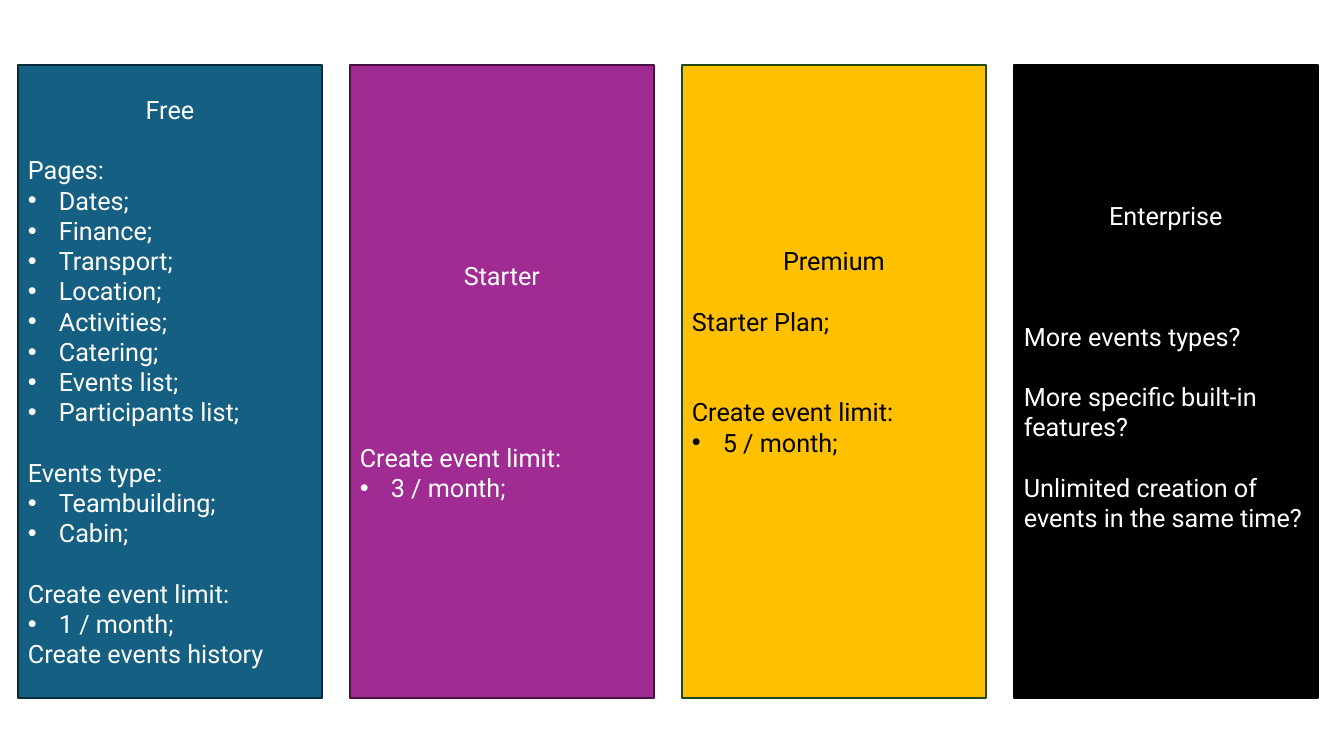
from dataclasses import dataclass

from lxml import etree
from pptx import Presentation
from pptx import util as u
from pptx.dml.color import RGBColor
from pptx.enum import shapes, text
from pptx.oxml import ns

PX_PER_INCH = 100.8
SLIDE_W, SLIDE_H = 1344, 756
CARD_LEFT, CARD_TOP, CARD_W, CARD_H = 18, 65, 304, 633
CARD_PITCH = 332
INSET = 5
BULLET_INDENT = 31
LINE_H = u.Pt(21.6)

WHITE = RGBColor(0xFF, 0xFF, 0xFF)
BLACK = RGBColor(0x00, 0x00, 0x00)
TEAL = RGBColor(0x15, 0x60, 0x82)
DARK_TEAL = RGBColor(0x09, 0x2A, 0x39)
PURPLE = RGBColor(0xA0, 0x2B, 0x93)
DARK_PURPLE = RGBColor(0x46, 0x13, 0x40)
AMBER = RGBColor(0xFF, 0xC0, 0x00)
DARK_GREEN = RGBColor(0x22, 0x49, 0x14)


@dataclass(frozen=True)
class Section:
    """Lines of space above, a heading and its bulleted items."""
    gap: int
    heading: str
    items: tuple[str, ...] = ()


@dataclass(frozen=True)
class Plan:
    name: str
    fill: RGBColor
    border: RGBColor
    ink: RGBColor
    sections: tuple[Section, ...]
    lines_below: int = 0


PLANS = (
    Plan("Free", TEAL, DARK_TEAL, WHITE, (
        Section(1, "Pages:", ("Dates;", "Finance;", "Transport;", "Location;",
                              "Activities;", "Catering;", "Events list;",
                              "Participants list;")),
        Section(1, "Events type:", ("Teambuilding;", "Cabin;")),
        Section(1, "Create event limit:", ("1 / month;",)),
        Section(0, "Create events history"),
    )),
    Plan("Starter", PURPLE, DARK_PURPLE, WHITE, (
        Section(5, "Create event limit:", ("3 / month;",)),
    )),
    Plan("Premium", AMBER, DARK_GREEN, BLACK, (
        Section(1, "Starter Plan;"),
        Section(2, "Create event limit:", ("5 / month;",)),
    ), lines_below=2),
    Plan("Enterprise", BLACK, BLACK, WHITE, (
        Section(3, "More events types?"),
        Section(1, "More specific built-in features?"),
        Section(1, "Unlimited creation of events in the same time?"),
    ), lines_below=1),
)


def px(n: int) -> u.Emu:
    return u.Emu(round(n * u.Inches(1) / PX_PER_INCH))


def write(p, words: str, ink: RGBColor, align=text.PP_ALIGN.LEFT, gap: int = 0) -> None:
    p.alignment = align
    if gap:
        p.space_before = u.Emu(gap * LINE_H)
    r = p.add_run()
    r.text = words
    r.font.name = "Roboto"
    r.font.size = u.Pt(18)
    r.font.color.rgb = ink


def add_bullet(p) -> None:
    props = p._p.get_or_add_pPr()
    props.set("marL", str(px(BULLET_INDENT)))
    props.set("indent", str(-px(BULLET_INDENT)))
    etree.SubElement(props, ns.qn("a:buFont"), typeface="Arial")
    etree.SubElement(props, ns.qn("a:buChar"), char="•")


def add_card(slide, plan: Plan, left: int) -> None:
    sp = slide.shapes.add_shape(shapes.MSO_SHAPE.RECTANGLE, px(left),
                                px(CARD_TOP), px(CARD_W), px(CARD_H))
    sp.shadow.inherit = False
    sp.fill.solid()
    sp.fill.fore_color.rgb = plan.fill
    sp.line.color.rgb = plan.border
    sp.line.width = u.Pt(1.5)

    tf = sp.text_frame
    tf.word_wrap = True
    tf.vertical_anchor = text.MSO_ANCHOR.MIDDLE
    tf.margin_top = px(INSET)
    tf.margin_bottom = u.Emu(px(INSET) + plan.lines_below * LINE_H)
    write(tf.paragraphs[0], plan.name, plan.ink, text.PP_ALIGN.CENTER)
    for section in plan.sections:
        write(tf.add_paragraph(), section.heading, plan.ink, gap=section.gap)
        for item in section.items:
            p = tf.add_paragraph()
            write(p, item, plan.ink)
            add_bullet(p)


def main() -> None:
    prs = Presentation()
    prs.slide_width, prs.slide_height = px(SLIDE_W), px(SLIDE_H)
    slide = prs.slides.add_slide(prs.slide_layouts[6])
    for i, plan in enumerate(PLANS):
        add_card(slide, plan, CARD_LEFT + i * CARD_PITCH)
    prs.save("out.pptx")


if __name__ == "__main__":
    main()
